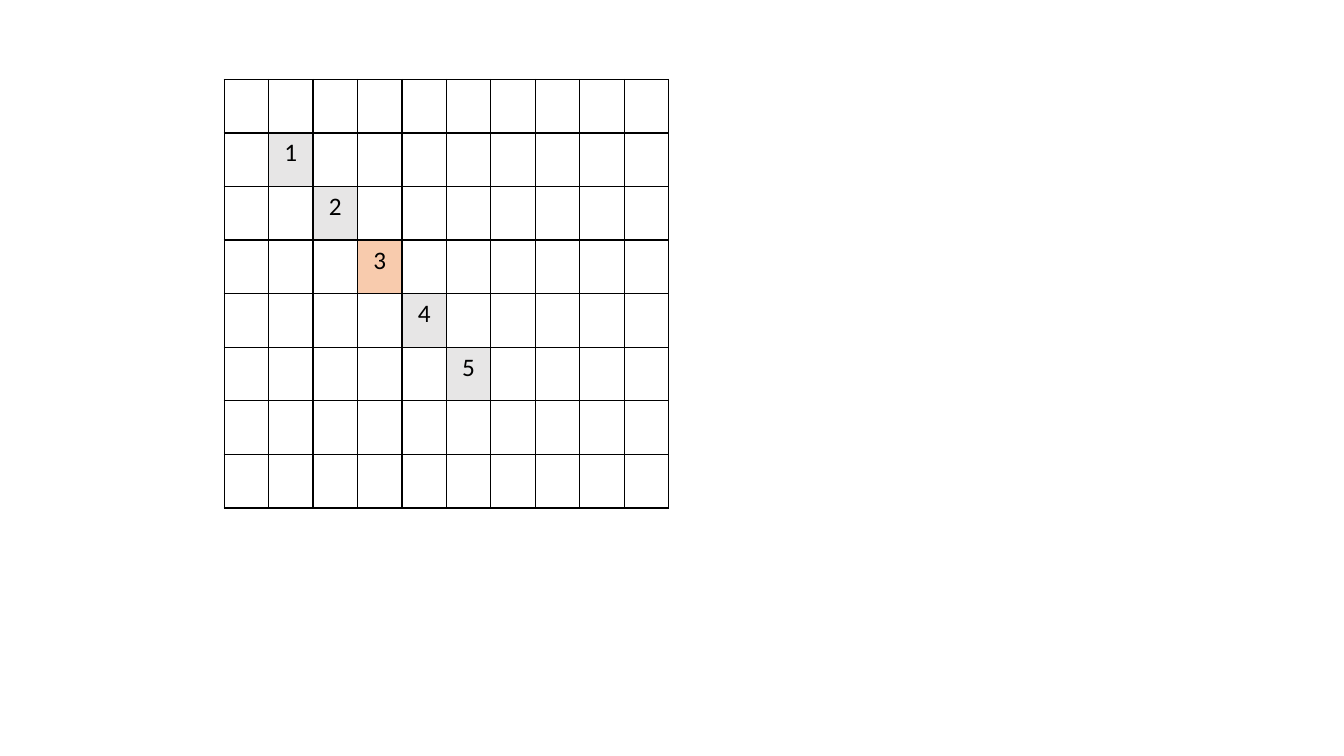
from dataclasses import dataclass

from lxml.etree import SubElement as Sub
from pptx import Presentation as Deck
from pptx.dml.color import RGBColor as Rgb
from pptx.enum.text import PP_ALIGN as Align
from pptx.oxml.ns import qn
from pptx.table import Table, _Cell as Cell
from pptx.util import Cm, Pt

HUES = {"ink": "000000", "step": "E7E6E6", "focus": "F8CBAD"}
ROWS, COLS = 8, 10
WIDE, HIGH = 1.12, 1.35


@dataclass
class Mark:
    num: int
    hue: str = "step"


MARKS = [Mark(1), Mark(2), Mark(3, "focus"), Mark(4), Mark(5)]


def edge(cell: Cell) -> None:
    """Draw a thin line on all four sides of a cell."""
    props = cell._tc.get_or_add_tcPr()
    for side in ("lnL", "lnR", "lnT", "lnB"):
        line = Sub(props, qn(f"a:{side}"), w=str(Pt(1)))
        fill = Sub(line, qn("a:solidFill"))
        Sub(fill, qn("a:srgbClr"), val=HUES["ink"])


def label(cell: Cell, mark: Mark) -> None:
    """Fill a cell and write its number."""
    cell.fill.solid()
    cell.fill.fore_color.rgb = Rgb.from_string(HUES[mark.hue])
    para = cell.text_frame.paragraphs[0]
    para.text = str(mark.num)
    para.alignment = Align.CENTER
    font = para.runs[0].font
    font.name, font.size = "Calibri", Pt(18)
    font.color.rgb = Rgb.from_string(HUES["ink"])


def style(grid: Table) -> None:
    """Set the cell sizes, clear the banding and draw the lines."""
    grid.first_row = grid.horz_banding = False
    for col in grid.columns:
        col.width = Cm(WIDE)
    for row in grid.rows:
        row.height = Cm(HIGH)
    for cell in grid.iter_cells():
        edge(cell)
        cell.fill.background()


def main() -> None:
    deck = Deck()
    deck.slide_width, deck.slide_height = Cm(33.87), Cm(19.05)
    slide = deck.slides.add_slide(deck.slide_layouts[6])

    # Empty grid
    frame = slide.shapes.add_table(
        ROWS, COLS, Cm(5.65), Cm(2), Cm(WIDE * COLS), Cm(HIGH * ROWS))
    grid = frame.table
    style(grid)

    # Numbered diagonal
    for mark in MARKS:
        label(grid.cell(mark.num, mark.num), mark)

    deck.save("out.pptx")


if __name__ == "__main__":
    main()
